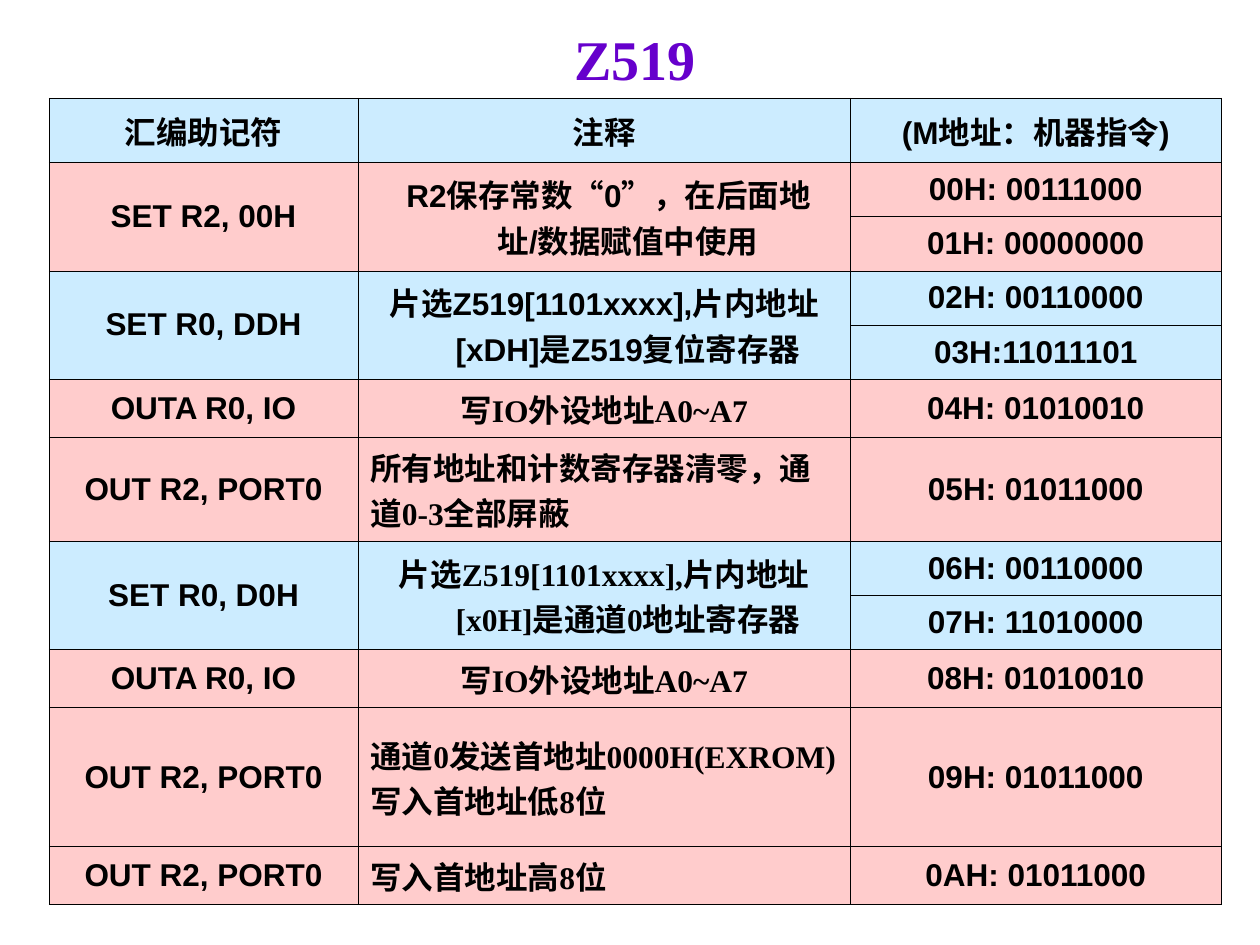
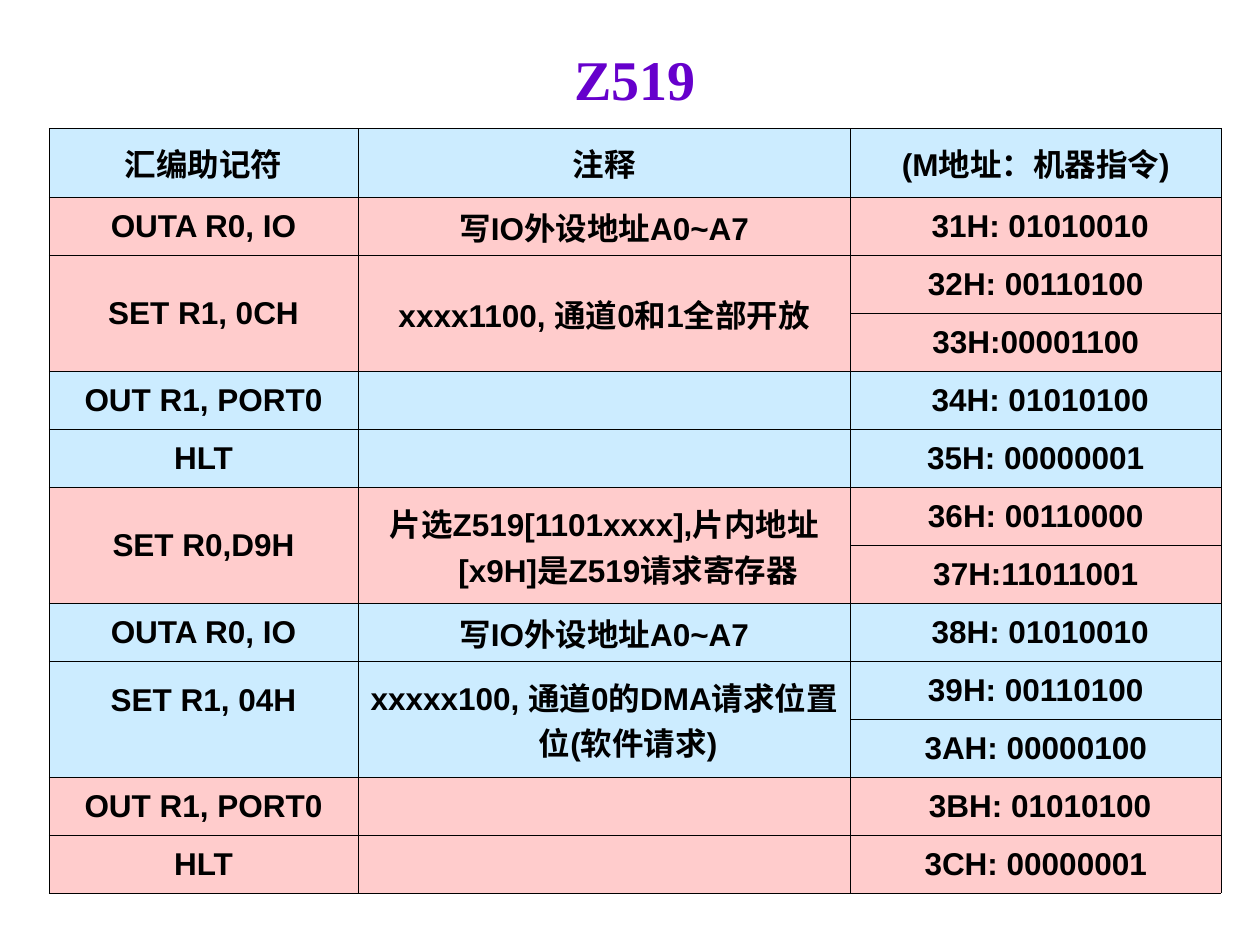
from dataclasses import dataclass

from lxml import etree
from pptx import Presentation
from pptx.dml.color import RGBColor
from pptx.enum.text import MSO_ANCHOR, PP_ALIGN
from pptx.oxml.ns import qn
from pptx.util import Inches, Pt

CENTER = PP_ALIGN.CENTER
LEFT = PP_ALIGN.LEFT
MIDDLE = MSO_ANCHOR.MIDDLE

SANS = "Arial"
SERIF = "Times New Roman"
BLACK = "000000"
PURPLE = "6600CC"
BLUE = "CCECFF"
PINK = "FFCCCC"

TABLE_LEFT = 0.39
COLUMN_WIDTHS = (2.45, 3.91, 2.94)
TABLE_WIDTH = sum(COLUMN_WIDTHS)
HANGING = 0.38
TEXT_LINE = 0.29
BORDER_WIDTH = Pt(0.45)
HEADINGS = ("汇编助记符", "注释", "(M地址：机器指令)")


@dataclass
class Instruction:
    fill: str
    mnemonic: str
    note: str
    codes: tuple
    note_font: str = SANS
    note_align: PP_ALIGN = CENTER
    note_hanging: float = HANGING
    height: float = 0
    raise_mnemonic: bool = False


CLEAR_AND_ADDRESS = (
    Instruction(PINK, "SET R2, 00H", " R2保存常数“0”，在后面地址/数据赋值中使用",
                ("00H: 00111000", "01H: 00000000")),
    Instruction(BLUE, "SET R0, DDH", "片选Z519[1101xxxx],片内地址[xDH]是Z519复位寄存器",
                ("02H: 00110000", "03H:11011101")),
    Instruction(PINK, "OUTA R0, IO", "写IO外设地址A0~A7", ("04H: 01010010",), SERIF),
    Instruction(PINK, "OUT R2, PORT0", "所有地址和计数寄存器清零，通道0-3全部屏蔽",
                ("05H: 01011000",), SERIF, LEFT, 0, height=0.7),
    Instruction(BLUE, "SET R0, D0H", "片选Z519[1101xxxx],片内地址[x0H]是通道0地址寄存器",
                ("06H: 00110000", "07H: 11010000"), SERIF),
    Instruction(PINK, "OUTA R0, IO", "写IO外设地址A0~A7", ("08H: 01010010",), SERIF),
    Instruction(PINK, "OUT R2, PORT0", "通道0发送首地址0000H(EXROM)\n写入首地址低8位",
                ("09H: 01011000",), SERIF, LEFT, 0, height=1),
    Instruction(PINK, "OUT R2, PORT0", "写入首地址高8位", ("0AH: 01011000",), SERIF, LEFT),
)

UNMASK_AND_REQUEST = (
    Instruction(PINK, "OUTA R0, IO", "写IO外设地址A0~A7", (" 31H: 01010010",)),
    Instruction(PINK, "SET R1, 0CH", "xxxx1100, 通道0和1全部开放",
                ("32H: 00110100", "33H:00001100")),
    Instruction(BLUE, "OUT R1, PORT0", "", (" 34H: 01010100",)),
    Instruction(BLUE, "HLT", "", ("35H: 00000001",)),
    Instruction(PINK, "SET R0,D9H", "片选Z519[1101xxxx],片内地址[x9H]是Z519请求寄存器",
                ("36H: 00110000", "37H:11011001")),
    Instruction(BLUE, "OUTA R0, IO", "写IO外设地址A0~A7", (" 38H: 01010010",)),
    Instruction(BLUE, "SET R1, 04H", "xxxxx100, 通道0的DMA请求位置位(软件请求)",
                ("39H: 00110100", "3AH: 00000100"), raise_mnemonic=True),
    Instruction(PINK, "OUT R1, PORT0", "", (" 3BH: 01010100",)),
    Instruction(PINK, "HLT", "", ("3CH: 00000001",)),
)


def color(value):
    return RGBColor.from_string(value)


def write_text(text_frame, text, font, size, text_color, align=CENTER, hanging=0):
    text_frame.text = text
    for paragraph in text_frame.paragraphs:
        paragraph.alignment = align
        if hanging:
            properties = paragraph._p.get_or_add_pPr()
            properties.set("marL", str(Inches(hanging)))
            properties.set("indent", str(-Inches(hanging)))
        for run in paragraph.runs:
            run.font.name = font
            run.font.size = Pt(size)
            run.font.bold = True
            run.font.color.rgb = color(text_color)


def style_cell(cell, fill):
    properties = cell._tc.get_or_add_tcPr()
    for side in ("a:lnL", "a:lnR", "a:lnT", "a:lnB"):
        line = etree.SubElement(properties, qn(side), w=str(BORDER_WIDTH))
        line_fill = etree.SubElement(line, qn("a:solidFill"))
        etree.SubElement(line_fill, qn("a:srgbClr"), val=BLACK)
    cell.fill.solid()
    cell.fill.fore_color.rgb = color(fill)
    cell.vertical_anchor = MIDDLE


def write_cell(cell, text, font=SANS, align=CENTER, hanging=HANGING):
    write_text(cell.text_frame, text, font, 18, BLACK, align, hanging)


def add_title(slide, text, top, height):
    box = slide.shapes.add_textbox(Inches(TABLE_LEFT), Inches(top),
                                   Inches(TABLE_WIDTH), Inches(height))
    box.text_frame.word_wrap = True
    box.text_frame.vertical_anchor = MIDDLE
    write_text(box.text_frame, text, SERIF, 32, PURPLE)


def fill_instruction(table, first_row, instruction, row_height):
    last_row = first_row + len(instruction.codes) - 1
    for row, code in enumerate(instruction.codes, first_row):
        table.rows[row].height = Inches(instruction.height or row_height)
        for column in range(len(COLUMN_WIDTHS)):
            style_cell(table.cell(row, column), instruction.fill)
        write_cell(table.cell(row, 2), code)
    if last_row > first_row:
        for column in (0, 1):
            table.cell(first_row, column).merge(table.cell(last_row, column))
    mnemonic_cell = table.cell(first_row, 0)
    write_cell(mnemonic_cell, instruction.mnemonic)
    if instruction.raise_mnemonic:
        mnemonic_cell.margin_bottom = Inches(0.05 + TEXT_LINE)
    write_cell(table.cell(first_row, 1), instruction.note, instruction.note_font,
               instruction.note_align, instruction.note_hanging)
    return last_row + 1


def add_program_table(slide, instructions, top, header_height, row_height):
    row_count = 1 + sum(len(instruction.codes) for instruction in instructions)
    height = header_height + row_height * (row_count - 1)
    table = slide.shapes.add_table(row_count, len(COLUMN_WIDTHS), Inches(TABLE_LEFT),
                                   Inches(top), Inches(TABLE_WIDTH), Inches(height)).table
    table.first_row = False
    table.horz_banding = False
    table.rows[0].height = Inches(header_height)
    for column, (width, heading) in enumerate(zip(COLUMN_WIDTHS, HEADINGS)):
        table.columns[column].width = Inches(width)
        style_cell(table.cell(0, column), BLUE)
        write_cell(table.cell(0, column), heading)
    row = 1
    for instruction in instructions:
        row = fill_instruction(table, row, instruction, row_height)


def add_program_slide(presentation, instructions, title_box, table_top, header_height, row_height):
    slide = presentation.slides.add_slide(presentation.slide_layouts[6])
    add_program_table(slide, instructions, table_top, header_height, row_height)
    add_title(slide, "Z519", *title_box)


def main():
    presentation = Presentation()
    presentation.slide_width = Inches(10)
    presentation.slide_height = Inches(7.5)
    add_program_slide(presentation, CLEAR_AND_ADDRESS, (0.23, 0.47), 0.78, 0.51, 0.43)
    add_program_slide(presentation, UNMASK_AND_REQUEST, (0.31, 0.62), 1.02, 0.55, 0.46)
    presentation.save("out.pptx")


if __name__ == "__main__":
    main()
